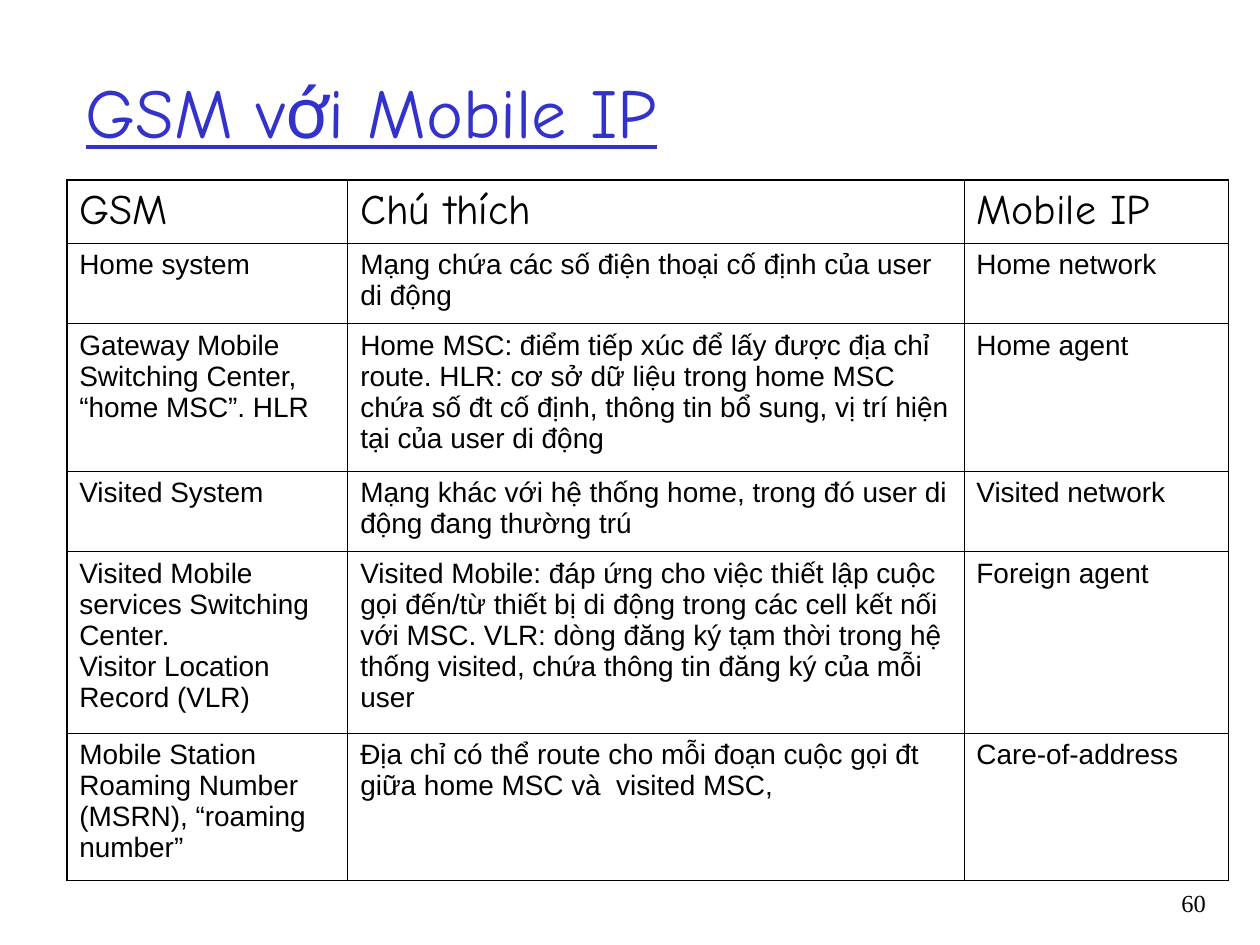
from lxml import etree
from pptx import Presentation
from pptx.dml.color import RGBColor
from pptx.enum import text
from pptx.oxml import ns
from pptx.util import Inches, Pt

BLACK, BLUE = "000000", "3333CC"
HEADING_FONT, BODY_FONT, NUMBER_FONT = "Comic Neue", "Arial", "Times New Roman"
THIN, THICK = 0.45, 1.08

COLUMN_WIDTHS = (2.23, 4.89, 2.1)
ROW_HEIGHTS = (0.5, 0.64, 1.17, 0.64, 1.44, 1.17)
ROWS = (
    ("GSM", "Chú thích", "Mobile IP"),
    ("Home system",
     "Mạng chứa các số điện thoại cố định của user di động",
     "Home network"),
    ("Gateway Mobile Switching Center, “home MSC”. HLR",
     "Home MSC: điểm tiếp xúc để lấy được địa chỉ route. HLR: cơ sở dữ liệu "
     "trong home MSC chứa số đt cố định, thông tin bổ sung, vị trí hiện tại "
     "của user di động",
     "Home agent"),
    ("Visited System",
     "Mạng khác với hệ thống home, trong đó user di động đang thường trú",
     "Visited network"),
    ("Visited Mobile services Switching Center.\nVisitor Location Record (VLR)",
     "Visited Mobile: đáp ứng cho việc thiết lập cuộc gọi đến/từ thiết bị di "
     "động trong các cell kết nối với MSC. VLR: dòng đăng ký tạm thời trong hệ "
     "thống visited, chứa thông tin đăng ký của mỗi user",
     "Foreign agent"),
    ("Mobile Station Roaming Number (MSRN), “roaming number”",
     "Địa chỉ có thể route cho mỗi đoạn cuộc gọi đt  giữa home MSC và  visited MSC,",
     "Care-of-address"),
)


def color(value):
    return RGBColor.from_string(value)


def style_font(font, name, size, value):
    font.name, font.size = name, Pt(size)
    font.color.rgb = color(value)


def add_title(page, left, top, width, height):
    title = page.shapes.title
    title.left, title.top = Inches(left), Inches(top)
    title.width, title.height = Inches(width), Inches(height)
    frame = title.text_frame
    frame.text = "GSM với Mobile IP"
    frame.vertical_anchor = text.MSO_ANCHOR.MIDDLE
    para = frame.paragraphs[0]
    para.alignment = text.PP_ALIGN.LEFT
    style_font(para.font, HEADING_FONT, 40, BLUE)
    para.font.underline = True


def set_borders(cell, widths):
    """Draw black borders; widths are in points: left, right, top, bottom."""
    properties = cell._tc.get_or_add_tcPr()
    for side, width in zip("LRTB", widths):
        line = etree.SubElement(properties, ns.qn(f"a:ln{side}"), w=str(Pt(width)))
        fill = etree.SubElement(line, ns.qn("a:solidFill"))
        etree.SubElement(fill, ns.qn("a:srgbClr"), val=BLACK)


def add_comparison_table(page, left, top):
    frame = page.shapes.add_table(
        len(ROWS), len(COLUMN_WIDTHS), Inches(left), Inches(top),
        Inches(sum(COLUMN_WIDTHS)), Inches(sum(ROW_HEIGHTS)))
    table = frame.table
    table.first_row = table.horz_banding = False
    for column, width in zip(table.columns, COLUMN_WIDTHS):
        column.width = Inches(width)
    for row, height in zip(table.rows, ROW_HEIGHTS):
        row.height = Inches(height)

    last_row, last_column = len(ROWS) - 1, len(COLUMN_WIDTHS) - 1
    for r, row in enumerate(ROWS):
        for c, words in enumerate(row):
            cell = table.cell(r, c)
            cell.text = words
            on_edge = (c == 0, c == last_column, r == 0, r == last_row)
            set_borders(cell, [THICK if edge else THIN for edge in on_edge])
            cell.fill.background()
            for para in cell.text_frame.paragraphs:
                if r == 0:
                    style_font(para.font, HEADING_FONT, 24, BLACK)
                    para.space_before = Pt(6)
                else:
                    style_font(para.font, BODY_FONT, 16, BLACK)
                    para.space_before = Pt(4 if c == 1 else 0)


def add_page_number(page, left, top, width, height):
    box = page.shapes.add_textbox(
        Inches(left), Inches(top), Inches(width), Inches(height))
    box.text_frame.word_wrap = True
    para = box.text_frame.paragraphs[0]
    para.text = "60"
    para.alignment = text.PP_ALIGN.RIGHT
    style_font(para.font, NUMBER_FONT, 14, BLACK)


def main():
    deck = Presentation()
    deck.slide_width, deck.slide_height = Inches(10), Inches(7.5)
    page = deck.slides.add_slide(deck.slide_layouts.get_by_name("Title Only"))
    add_title(page, 0.58, 0.25, 8.5, 1.25)
    add_comparison_table(page, 0.53, 1.43)
    add_page_number(page, 8.93, 7, 0.74, 0.5)
    deck.save("out.pptx")


if __name__ == "__main__":
    main()
